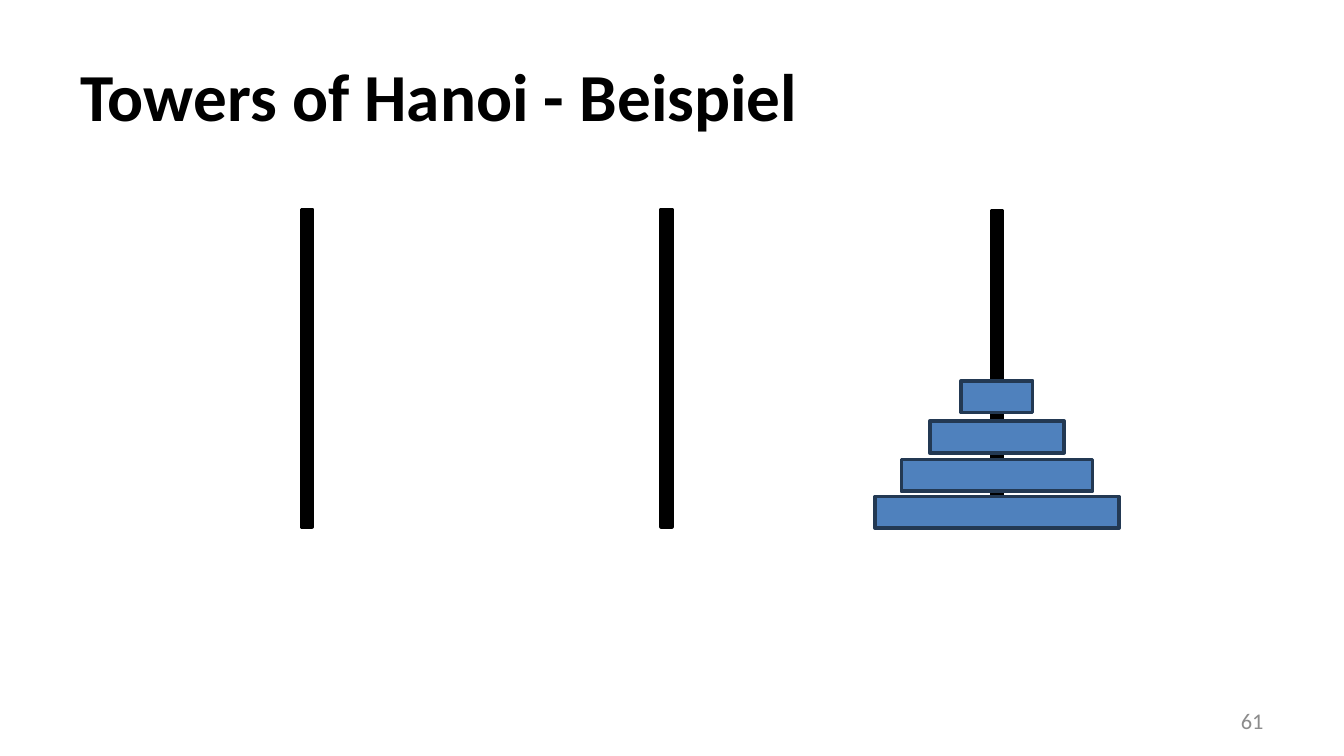
from pptx import Presentation
from pptx.dml.color import RGBColor
from pptx.enum.shapes import MSO_SHAPE
from pptx.enum.text import MSO_ANCHOR, PP_ALIGN
from pptx.util import Pt

COLORS = {"ink": "000000", "disk": "4F81BD", "edge": "233953", "page": "8C8C8C"}
DISKS = [(266, 130.6), (246.2, 102.4), (225.6, 72), (204, 38.2)]


def color(name):
    """Return the named colour."""
    return RGBColor.from_string(COLORS[name])


def add_bar(slide, box, fill, line):
    """Draw an outlined rectangle in the box."""
    bar = slide.shapes.add_shape(MSO_SHAPE.RECTANGLE, *map(Pt, box))
    bar.shadow.inherit = False
    bar.fill.solid()
    bar.fill.fore_color.rgb = color(fill)
    bar.line.color.rgb = color(line)
    bar.line.width = Pt(2)


def add_text(slide, box, text, ink, align, style):
    """Write one vertically centred line in the box."""
    frame = slide.shapes.add_textbox(*map(Pt, box)).text_frame
    frame.word_wrap = True
    frame.vertical_anchor = MSO_ANCHOR.MIDDLE
    par = frame.paragraphs[0]
    par.alignment = align
    run = par.add_run()
    run.text = text
    run.font.color.rgb = color(ink)
    for key, value in style.items():
        setattr(run.font, key, value)


def add_tower(slide, box, disks=()):
    """Draw a peg in the box with disks centred on it."""
    left, top, width, height = box
    add_bar(slide, box, "ink", "ink")
    mid = left + width / 2
    for level, size in disks:
        add_bar(slide, (mid - size / 2, level, size, 17), "disk", "edge")


def main():
    """Build and save the slide."""
    deck = Presentation()
    deck.slide_width, deck.slide_height = Pt(720), Pt(405)
    slide = deck.slides.add_slide(deck.slide_layouts[6])
    add_text(slide, (36, 16.6, 648, 67.7), "Towers of Hanoi - Beispiel", "ink",
             PP_ALIGN.LEFT, {"name": "Calibri", "size": Pt(36), "bold": True})
    add_text(slide, (516.2, 375.4, 167.8, 21.6), "61", "page",
             PP_ALIGN.RIGHT, {"name": "Calibri", "size": Pt(12)})
    for left, top, disks in [(161.5, 112.2, ()), (354.2, 112.2, ()), (531.2, 113, DISKS)]:
        add_tower(slide, (left, top, 5.8, 170), disks)
    deck.save("out.pptx")


if __name__ == "__main__":
    main()
